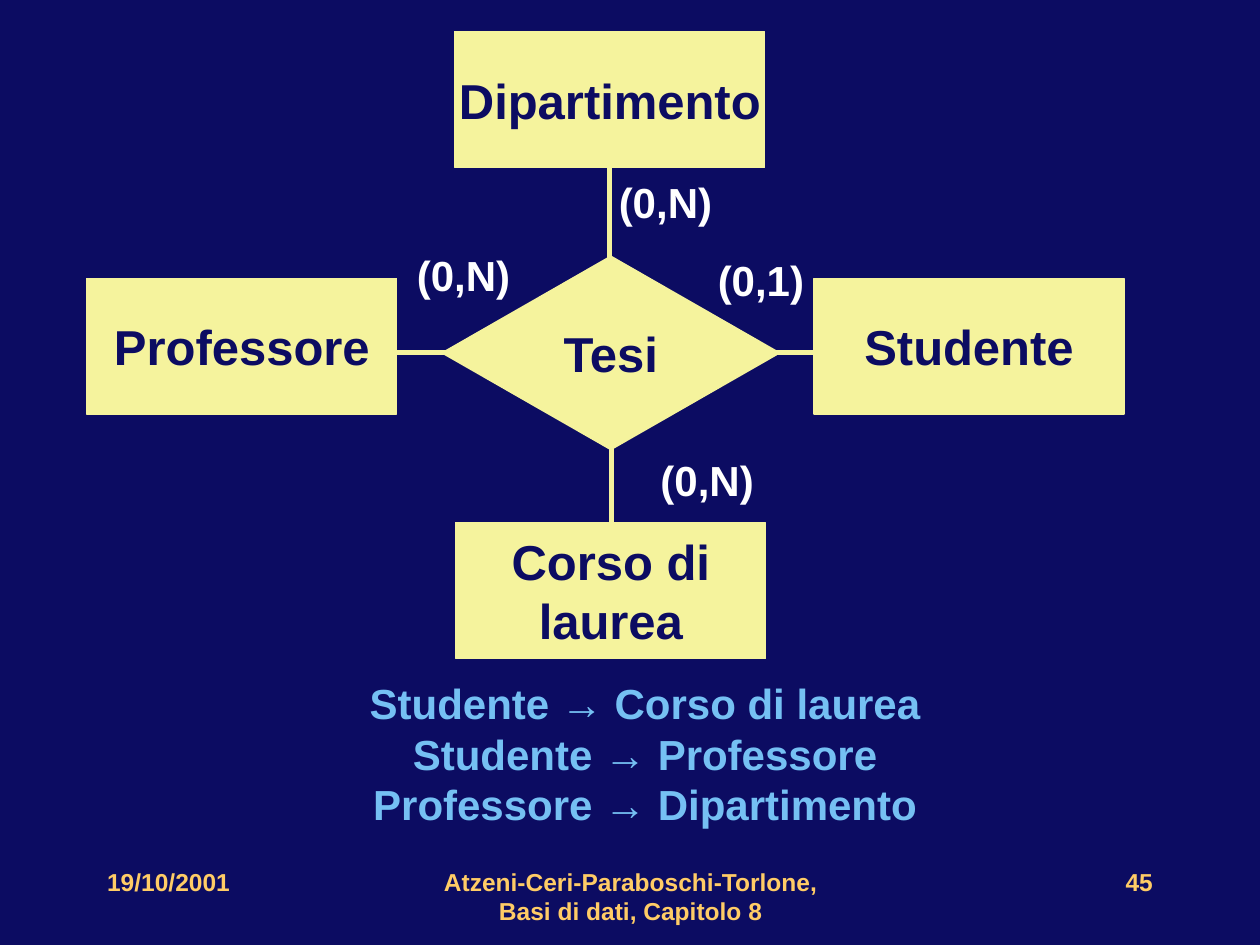
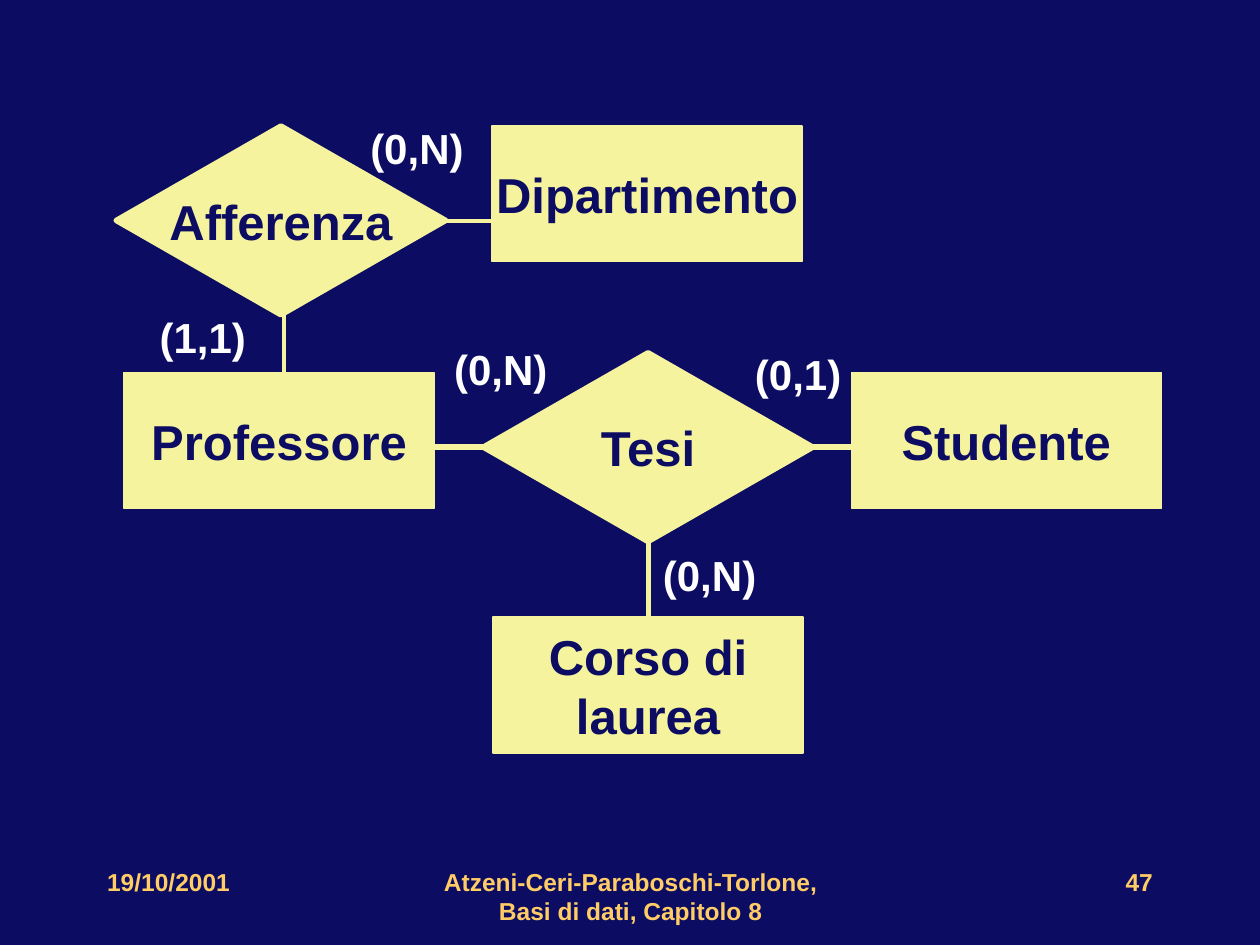
from lxml.etree import SubElement
from pptx import Presentation
from pptx.dml.color import RGBColor
from pptx.enum.shapes import MSO_CONNECTOR, MSO_SHAPE
from pptx.enum.text import MSO_ANCHOR, MSO_AUTO_SIZE, PP_ALIGN
from pptx.oxml.ns import qn
from pptx.util import Cm, Pt

COLOURS = {
    "navy": "0C0C62",
    "cream": "F5F39D",
    "white": "FFFFFF",
    "sky": "75C0F3",
    "amber": "FFCC66",
}
FONT = "Arial"
ENTITY_SIZE = (6.25, 2.74)
RELATIONSHIP_SIZE = (6.65, 3.81)
LABEL_HEIGHT = 1.27
LABEL_WIDTHS = {"(0,N)": 2.39, "(0,1)": 2.24, "(1,1)": 2.24}

# All lengths are in centimetres.
# The thesis scheme appears on both slides, shifted by each slide's offset.
THESIS_ENTITIES = [
    ("Professore", 1.75, 5.61),
    ("Studente", 16.41, 5.61),
    ("Corso di\nlaurea", 9.19, 10.54),
    ("Dipartimento", 9.17, 0.64),
]
THESIS_RELATIONSHIPS = [("Tesi", 8.99, 5.21)]
THESIS_LABELS = [("(0,N)", 8.15, 4.9), ("(0,1)", 14.22, 5.0)]
THESIS_LINKS = [  # start x, start y, end x, end y, points
    (7.24, 7.11, 16.81, 7.11, 3),
    (12.32, 8.79, 12.32, 10.8, 3),
]

SLIDES = [
    {
        "number": "45",
        "offset": (0, 0),
        "relationships": [],
        "labels": [("(0,N)", 13.06, 9.04), ("(0,N)", 12.22, 3.43)],
        "links": [(12.29, 2.77, 12.29, 5.31, 3)],
        "dependencies": [
            "Studente → Corso di laurea",
            "Studente → Professore",
            "Professore → Dipartimento",
        ],
    },
    {
        "number": "47",
        "offset": (0.75, 1.9),
        "relationships": [("Afferenza", 2.34, 2.54)],
        "labels": [
            ("(0,N)", 13.11, 10.95),
            ("(1,1)", 2.97, 6.15),
            ("(0,N)", 7.21, 2.34),
        ],
        "links": [(5.72, 6.35, 5.72, 7.62, 2), (8.89, 4.45, 9.96, 4.45, 2)],
        "dependencies": [],
    },
]

DEPENDENCIES_BOX = (2.16, 13.54, 21.69, 3.3)
FOOTER_TOP, FOOTER_HEIGHT = 17.35, 1.27
FOOTERS = [  # text, left, width, alignment
    ("19/10/2001", 1.91, 5.28, PP_ALIGN.LEFT),
    ("Atzeni-Ceri-Paraboschi-Torlone, Basi di dati, Capitolo 8", 8.69, 8.05, PP_ALIGN.CENTER),
    ("{number}", 18.21, 5.28, PP_ALIGN.RIGHT),
]


def colour(name):
    return RGBColor.from_string(COLOURS[name])


def shift(items, offset):
    """Move (text, left, top) items by an offset."""
    return [(text, left + offset[0], top + offset[1]) for text, left, top in items]


def write(shape, text, size, colour_name, alignment=PP_ALIGN.CENTER, **frame_format):
    frame = shape.text_frame
    frame.text = text
    for name, value in frame_format.items():
        setattr(frame, name, value)
    font_format = {"name": FONT, "size": Pt(size), "bold": True}
    for paragraph in frame.paragraphs:
        paragraph.alignment = alignment
        for run in paragraph.runs:
            for name, value in font_format.items():
                setattr(run.font, name, value)
            run.font.color.rgb = colour(colour_name)


def add_node(slide, preset, size, line_width, text, left, top):
    shape = slide.shapes.add_shape(preset, *map(Cm, (left, top, *size)))
    shape.shadow.inherit = False
    shape.fill.solid()
    shape.fill.fore_color.rgb = colour("cream")
    shape.line.color.rgb = colour("cream")
    shape.line.width = Pt(line_width)
    write(shape, text, 28, "navy", word_wrap=False, vertical_anchor=MSO_ANCHOR.MIDDLE)


def add_link(slide, start_x, start_y, end_x, end_y, width):
    ends = map(Cm, (start_x, start_y, end_x, end_y))
    connector = slide.shapes.add_connector(MSO_CONNECTOR.STRAIGHT, *ends)
    connector.line.color.rgb = colour("cream")
    connector.line.width = Pt(width)
    SubElement(connector._element.spPr, qn("a:effectLst"))


def add_label(slide, text, left, top):
    """Write the cardinality of a link."""
    box = slide.shapes.add_textbox(*map(Cm, (left, top, LABEL_WIDTHS[text], LABEL_HEIGHT)))
    write(box, text, 24, "white", word_wrap=False, vertical_anchor=MSO_ANCHOR.MIDDLE,
          auto_size=MSO_AUTO_SIZE.SHAPE_TO_FIT_TEXT)


def add_footers(slide, number):
    for text, left, width, alignment in FOOTERS:
        box = slide.shapes.add_textbox(*map(Cm, (left, FOOTER_TOP, width, FOOTER_HEIGHT)))
        write(box, text.format(number=number), 14, "amber", alignment, word_wrap=True)


def add_scheme_slide(presentation, content):
    slide = presentation.slides.add_slide(presentation.slide_layouts[6])
    offset = content["offset"]
    x, y = offset

    # Links go first, so that the nodes cover their ends.
    for start_x, start_y, end_x, end_y, width in THESIS_LINKS:
        add_link(slide, start_x + x, start_y + y, end_x + x, end_y + y, width)
    for link in content["links"]:
        add_link(slide, *link)

    for entity in shift(THESIS_ENTITIES, offset):
        add_node(slide, MSO_SHAPE.RECTANGLE, ENTITY_SIZE, 0.75, *entity)
    for relationship in shift(THESIS_RELATIONSHIPS, offset) + content["relationships"]:
        add_node(slide, MSO_SHAPE.DIAMOND, RELATIONSHIP_SIZE, 3, *relationship)
    for label in shift(THESIS_LABELS, offset) + content["labels"]:
        add_label(slide, *label)

    if content["dependencies"]:
        box = slide.shapes.add_textbox(*map(Cm, DEPENDENCIES_BOX))
        write(box, "\n".join(content["dependencies"]), 24, "sky", word_wrap=True)
    add_footers(slide, content["number"])


def main():
    presentation = Presentation()
    presentation.slide_width, presentation.slide_height = Cm(25.4), Cm(19.05)
    background = presentation.slide_master.background.fill
    background.solid()
    background.fore_color.rgb = colour("navy")
    for content in SLIDES:
        add_scheme_slide(presentation, content)
    presentation.save("out.pptx")


if __name__ == "__main__":
    main()
